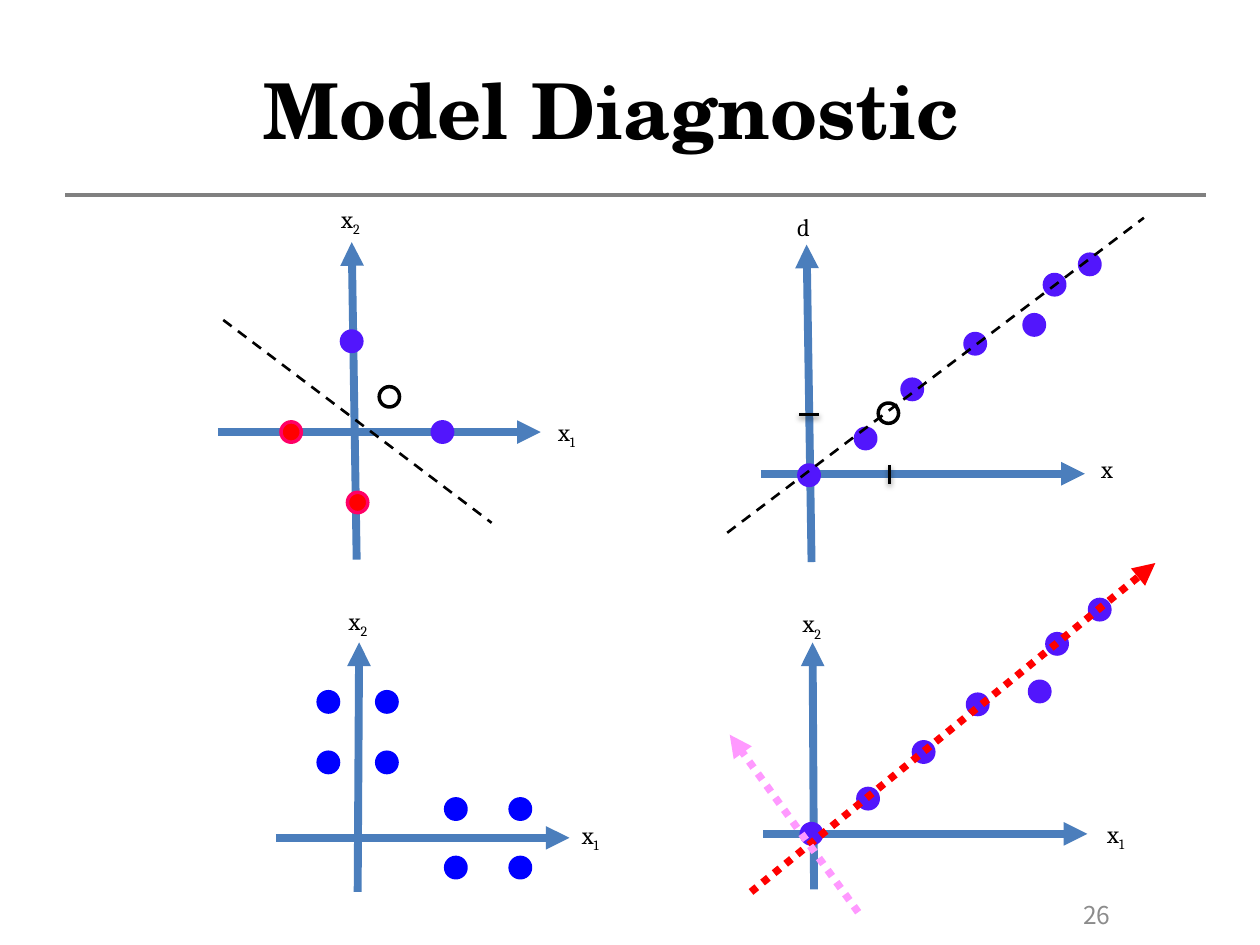
"""Build the Model Diagnostic slide with its four scatter sketches."""
from itertools import product

from lxml import etree
from pptx import Presentation
from pptx.dml.color import RGBColor
from pptx.enum.dml import MSO_LINE
from pptx.enum.shapes import MSO_CONNECTOR, MSO_SHAPE
from pptx.enum.text import MSO_ANCHOR, MSO_AUTO_SIZE, PP_ALIGN
from pptx.oxml.ns import qn
from pptx.util import Cm, Pt

STRAIGHT = MSO_CONNECTOR.STRAIGHT
OVAL = MSO_SHAPE.OVAL
DASH, DOTS = MSO_LINE.DASH, MSO_LINE.ROUND_DOT
MIDDLE, CENTER = MSO_ANCHOR.MIDDLE, PP_ALIGN.CENTER
FIT = MSO_AUTO_SIZE.SHAPE_TO_FIT_TEXT

COLORS = {
    "black": "000000", "rule": "808080", "number": "8C8C8C", "axis": "4B7EBC",
    "purple": "5216FC", "blue": "0000FF", "red": "FF0000", "rim": "FF0066",
    "pink": "FF99FF",
}
DOT = 0.41


def rgb(name):
    """Look up a palette colour."""
    return RGBColor.from_string(COLORS[name])


def style(p, font, size, color, bold=False):
    """Set the font of a paragraph."""
    p.font.name, p.font.size, p.font.bold = font, Pt(size), bold
    p.font.color.rgb = rgb(color)


def add_line(s, start, end, color, width, dash=None, arrow=False):
    """Draw a straight line without shadow and return its effect list."""
    c = s.shapes.add_connector(STRAIGHT, *map(Cm, start + end))
    c.line.color.rgb = rgb(color)
    c.line.width = Pt(width)
    if dash:
        c.line.dash_style = dash
    spPr = c._element.spPr
    if arrow:
        etree.SubElement(spPr.find(qn("a:ln")), qn("a:tailEnd"), type="triangle")
    return etree.SubElement(spPr, qn("a:effectLst"))


def add_tick(s, start, end):
    """Draw an axis tick with a soft shadow below it."""
    effects = add_line(s, start, end, "black", 2)
    shadow = etree.SubElement(effects, qn("a:outerShdw"), blurRad="39400",
                              dist="20300", dir="5400000", rotWithShape="0")
    color = etree.SubElement(shadow, qn("a:srgbClr"), val=COLORS["black"])
    etree.SubElement(color, qn("a:alpha"), val="38000")


def add_dots(s, centers, fill, rim=None):
    """Draw a circle at each centre, hollow when fill is None."""
    for x, y in centers:
        sp = s.shapes.add_shape(OVAL, Cm(x - DOT / 2), Cm(y - DOT / 2), Cm(DOT), Cm(DOT))
        sp.shadow.inherit = False
        if fill:
            sp.fill.solid()
            sp.fill.fore_color.rgb = rgb(fill)
        else:
            sp.fill.background()
        sp.line.color.rgb = rgb(rim or fill)
        sp.line.width = Pt(2)


def add_label(s, x, y, text, sub=""):
    """Write an axis name with an optional subscript."""
    sp = s.shapes.add_textbox(Cm(x), Cm(y), Cm(0.88 if sub else 0.78), Cm(0.86))
    tf = sp.text_frame
    tf.word_wrap, tf.auto_size = False, FIT
    p = tf.paragraphs[0]
    p.add_run().text = text
    if sub:
        r = p.add_run()
        r.text = sub
        r._r.get_or_add_rPr().set("baseline", "-25000")
    style(p, "Cambria", 14, "black")


def add_axes(s, x_axis, y_axis):
    """Draw a horizontal and a vertical axis arrow."""
    for start, end in (x_axis, y_axis):
        add_line(s, start, end, "axis", 4.5, arrow=True)


def add_frame(s):
    """Place the title, the rule below it and the slide number."""
    add_line(s, (1.32, 3.94), (24.31, 3.94), "rule", 2.25)
    title = s.shapes.title
    title.left, title.top, title.width, title.height = map(Cm, (0.08, 0.61, 24.51, 3.18))
    number = s.shapes.add_textbox(*map(Cm, (21.11, 18.14, 2.01, 0.61)))
    for sp, text, font in (
        (title, "Model Diagnostic", ("TeX Gyre Schola", 44, "black", True)),
        (number, "26", ("Noto Sans CJK SC", 14, "number")),
    ):
        tf = sp.text_frame
        tf.text, tf.word_wrap, tf.vertical_anchor = text, True, MIDDLE
        p = tf.paragraphs[0]
        p.alignment = CENTER
        style(p, *font)


def add_classes(s):
    """Draw two classes, their boundary and a new point."""
    add_axes(s, ((4.39, 8.71), (10.9, 8.71)), ((7.19, 11.28), (7.09, 4.88)))
    add_dots(s, [(5.87, 8.71), (7.21, 10.13)], "red", "rim")
    add_dots(s, [(8.92, 8.71), (7.09, 6.88)], "purple")
    add_line(s, (4.5, 6.45), (9.91, 10.54), "black", 1.5, DASH)
    add_dots(s, [(7.85, 8)], None, "black")
    add_label(s, 11, 8.28, "x", "1")
    add_label(s, 6.63, 3.99, "x", "2")


def add_regression(s):
    """Draw a fitted line with a predicted point and its ticks."""
    add_axes(s, ((15.34, 9.55), (21.87, 9.55)), ((16.36, 11.33), (16.26, 4.93)))
    add_dots(s, [(16.31, 9.58), (17.45, 8.84), (18.39, 7.85), (19.66, 6.93),
                 (20.85, 6.55), (21.97, 5.33), (21.26, 5.74)], "purple")
    add_line(s, (14.66, 10.74), (23.06, 4.39), "black", 1.5, DASH)
    add_dots(s, [(17.91, 8.33)], None, "black")
    add_tick(s, (17.93, 9.37), (17.93, 9.75))
    add_tick(s, (16.51, 8.36), (16.1, 8.36))
    add_label(s, 21.95, 9.02, "x")
    add_label(s, 15.82, 4.14, "d")


def add_clusters(s):
    """Draw two clusters of four points."""
    add_axes(s, ((5.56, 16.89), (11.48, 16.89)), ((7.21, 17.98), (7.24, 12.95)))
    add_dots(s, product((9.19, 10.49), (16.31, 17.49)), "blue")
    add_dots(s, product((6.62, 7.8), (14.15, 15.37)), "blue")
    add_label(s, 11.48, 16.41, "x", "1")
    add_label(s, 6.78, 12.09, "x", "2")


def add_components(s):
    """Draw a point cloud with its two principal directions."""
    add_axes(s, ((15.39, 16.81), (21.92, 16.81)), ((16.41, 17.93), (16.38, 12.95)))
    add_dots(s, [(16.36, 16.81), (17.5, 16.1), (18.62, 15.16), (19.71, 14.2),
                 (20.96, 13.94), (22.17, 12.29), (21.31, 12.98)], "purple")
    add_line(s, (15.14, 17.98), (23.29, 11.35), "red", 4.25, DOTS, arrow=True)
    add_line(s, (17.3, 18.39), (14.71, 14.81), "pink", 4.25, DOTS, arrow=True)
    add_label(s, 22.07, 16.38, "x", "1")
    add_label(s, 15.93, 12.14, "x", "2")


def main():
    """Build and save the slide."""
    prs = Presentation()
    prs.slide_width, prs.slide_height = Cm(25.4), Cm(19.05)
    s = prs.slides.add_slide(prs.slide_layouts[5])
    add_frame(s)
    add_classes(s)
    add_regression(s)
    add_clusters(s)
    add_components(s)
    prs.save("out.pptx")


if __name__ == "__main__":
    main()
